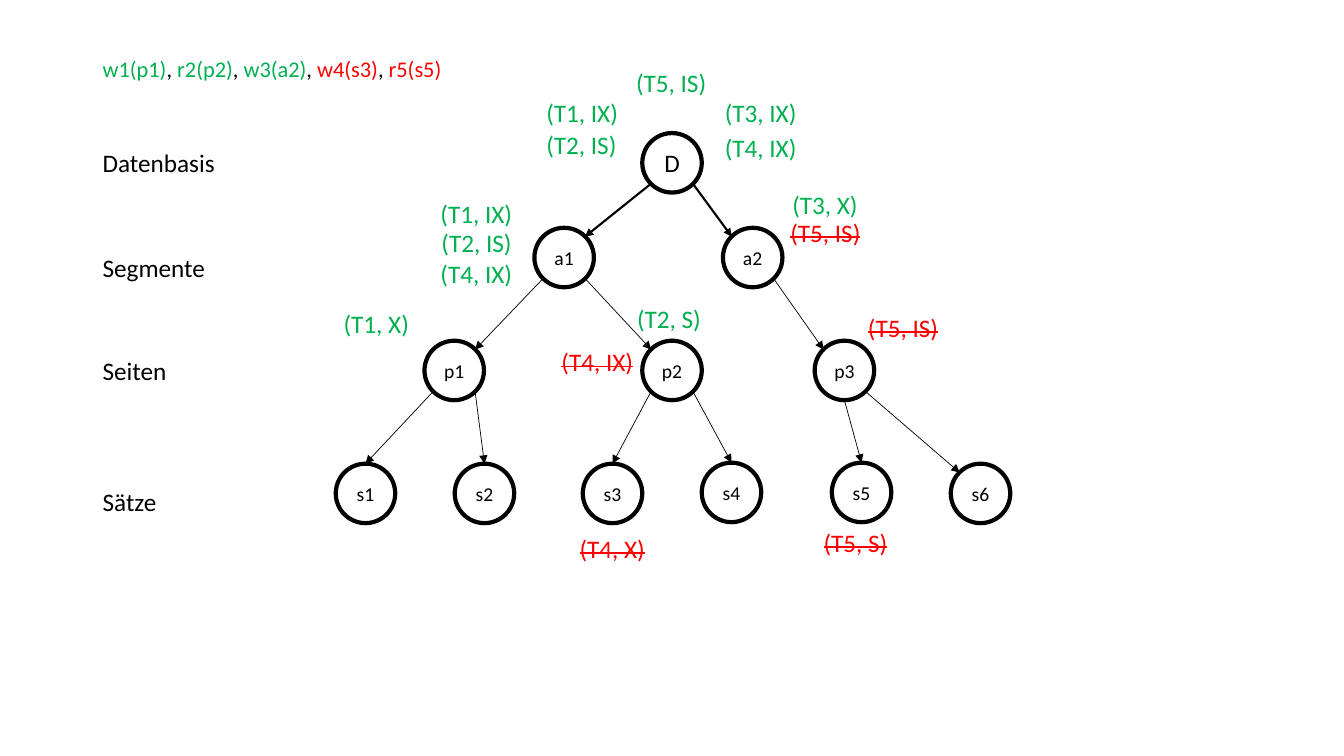
from typing import NamedTuple

from lxml import etree
from pptx import Presentation
from pptx.dml.color import RGBColor
from pptx.enum.shapes import MSO_CONNECTOR, MSO_SHAPE
from pptx.enum.text import MSO_ANCHOR, PP_ALIGN
from pptx.oxml.ns import qn
from pptx.util import Inches, Pt

CIRCLE = MSO_SHAPE.FLOWCHART_CONNECTOR
STRAIGHT = MSO_CONNECTOR.STRAIGHT
MIDDLE = MSO_ANCHOR.MIDDLE
CENTER = PP_ALIGN.CENTER

FONT = "Calibri"
COLORS = {"black": "000000", "green": "00B050", "red": "FF0000"}
SIZE = 0.59
DIAG = 0.15
# Connection sites of a circle: index, then share of width and height
SITES = {
    "N": (0, 0.5, 0), "NW": (1, DIAG, DIAG), "SW": (3, DIAG, 1 - DIAG),
    "S": (4, 0.5, 1), "SE": (5, 1 - DIAG, 1 - DIAG), "NE": (7, 1 - DIAG, DIAG),
}
# Width of a lock label by its mode
WIDTHS = {"IX": 0.92, "IS": 0.91, "X": 0.86, "S": 0.84}


class Node(NamedTuple):
    """A circle of the tree."""
    name: str
    left: float
    top: float
    size: int = 14


class Edge(NamedTuple):
    """An arrow from a site of one node to a site of another."""
    start: str
    out: str
    end: str
    into: str
    width: float = 0.5


class Lock(NamedTuple):
    """A lock label; a denied lock is red and struck through."""
    owner: str
    mode: str
    left: float
    top: float
    denied: bool = False


class Level(NamedTuple):
    """The name of a tree level."""
    name: str
    top: float
    width: float


NODES = [
    Node("D", 6.37, 1.32, 18),
    Node("a1", 5.3, 2.26), Node("a2", 7.17, 2.26),
    Node("p1", 4.21, 3.38), Node("p2", 6.37, 3.38), Node("p3", 8.08, 3.38),
    Node("s1", 3.33, 4.6), Node("s2", 4.51, 4.6), Node("s3", 5.78, 4.6),
    Node("s4", 6.96, 4.59), Node("s5", 8.25, 4.59), Node("s6", 9.43, 4.6),
]
EDGES = [
    Edge("D", "SW", "a1", "NE", 1.5), Edge("D", "SE", "a2", "NW", 1.5),
    Edge("a1", "SW", "p1", "NE"), Edge("a1", "SE", "p2", "NW"),
    Edge("a2", "SE", "p3", "NW"),
    Edge("p1", "SW", "s1", "N"), Edge("p1", "SE", "s2", "N"),
    Edge("p2", "SW", "s3", "N"), Edge("p2", "SE", "s4", "N"),
    Edge("p3", "S", "s5", "N"), Edge("p3", "SE", "s6", "NW"),
]
LEVELS = [
    Level("Datenbasis", 1.41, 1.33), Level("Segmente", 2.45, 1.23),
    Level("Seiten", 3.48, 0.84), Level("Sätze", 4.78, 0.74),
]
LOCKS = [
    Lock("T1", "IX", 5.32, 0.92), Lock("T1", "IX", 4.27, 1.92),
    Lock("T1", "X", 3.31, 3.01),
    Lock("T2", "IS", 5.32, 1.23), Lock("T2", "IS", 4.28, 2.21),
    Lock("T2", "S", 6.22, 2.96),
    Lock("T3", "IX", 7.09, 0.92), Lock("T3", "X", 7.76, 1.83),
    Lock("T4", "IX", 7.09, 1.26), Lock("T4", "IX", 4.27, 2.51),
    Lock("T4", "IX", 5.47, 3.39, True), Lock("T4", "X", 5.65, 5.24, True),
    Lock("T5", "IS", 6.21, 0.62), Lock("T5", "IS", 7.74, 2.11, True),
    Lock("T5", "IS", 8.51, 3.05, True), Lock("T5", "S", 8.07, 5.18, True),
]
STEPS = [("w1(p1)", "green"), ("r2(p2)", "green"), ("w3(a2)", "green"),
         ("w4(s3)", "red"), ("r5(s5)", "red")]


def color(name: str) -> RGBColor:
    """Look up a colour."""
    return RGBColor.from_string(COLORS[name])


def style(para, size: int, tint: str = "black") -> None:
    """Set the font of a paragraph."""
    para.font.name = FONT
    para.font.size = Pt(size)
    para.font.color.rgb = color(tint)


def add_node(slide, node: Node):
    """Draw a circle with its name."""
    shape = slide.shapes.add_shape(CIRCLE, Inches(node.left), Inches(node.top),
                                   Inches(SIZE), Inches(SIZE))
    shape.shadow.inherit = False
    shape.fill.background()
    shape.line.color.rgb = color("black")
    shape.line.width = Pt(3)
    frame = shape.text_frame
    frame.margin_left = frame.margin_right = 0
    frame.vertical_anchor = MIDDLE
    para = frame.paragraphs[0]
    para.text = node.name
    para.alignment = CENTER
    style(para, node.size)
    return shape


def locate(shape, site: str) -> tuple[int, int]:
    """Find the point of a site on a circle."""
    _, x, y = SITES[site]
    return (shape.left + round(x * shape.width),
            shape.top + round(y * shape.height))


def add_edge(slide, edge: Edge, shapes: dict) -> None:
    """Draw an arrow glued to its two nodes."""
    start, end = shapes[edge.start], shapes[edge.end]
    line = slide.shapes.add_connector(STRAIGHT, *locate(start, edge.out),
                                      *locate(end, edge.into))
    line.line.color.rgb = color("black")
    line.line.width = Pt(edge.width)
    etree.SubElement(line.line._get_or_add_ln(), qn("a:tailEnd"), type="triangle")
    etree.SubElement(line._element.spPr, qn("a:effectLst"))
    glue = line._element.nvCxnSpPr.cNvCxnSpPr
    for tag, shape, site in (("a:stCxn", start, edge.out),
                             ("a:endCxn", end, edge.into)):
        etree.SubElement(glue, qn(tag), id=str(shape.shape_id),
                         idx=str(SITES[site][0]))


def add_label(slide, text: str, left: float, top: float, width: float,
              tint: str = "black", struck: bool = False) -> None:
    """Draw a one-line label."""
    box = slide.shapes.add_textbox(Inches(left), Inches(top),
                                   Inches(width), Inches(0.4))
    box.text_frame.word_wrap = False
    para = box.text_frame.paragraphs[0]
    run = para.add_run()
    run.text = text
    style(para, 18, tint)
    if struck:
        run._r.get_or_add_rPr().set("strike", "sngStrike")


def add_steps(slide) -> None:
    """Draw the schedule with one colour for each step."""
    box = slide.shapes.add_textbox(Inches(0.92), Inches(0.4),
                                   Inches(11.5), Inches(0.59))
    box.text_frame.word_wrap = True
    box.text_frame.vertical_anchor = MIDDLE
    para = box.text_frame.paragraphs[0]
    para.line_spacing = 0.9
    style(para, 16)
    for i, (text, tint) in enumerate(STEPS):
        if i:
            para.add_run().text = ", "
        run = para.add_run()
        run.text = text
        run.font.color.rgb = color(tint)


def main() -> None:
    """Build the slide and save it."""
    deck = Presentation()
    deck.slide_width, deck.slide_height = Inches(13.33), Inches(7.5)
    slide = deck.slides.add_slide(deck.slide_layouts[6])
    shapes = {node.name: add_node(slide, node) for node in NODES}
    for edge in EDGES:
        add_edge(slide, edge, shapes)
    for level in LEVELS:
        add_label(slide, level.name, 0.92, level.top, level.width)
    for lock in LOCKS:
        add_label(slide, f"({lock.owner}, {lock.mode})", lock.left, lock.top,
                  WIDTHS[lock.mode], "red" if lock.denied else "green",
                  lock.denied)
    add_steps(slide)
    deck.save("out.pptx")


main()
